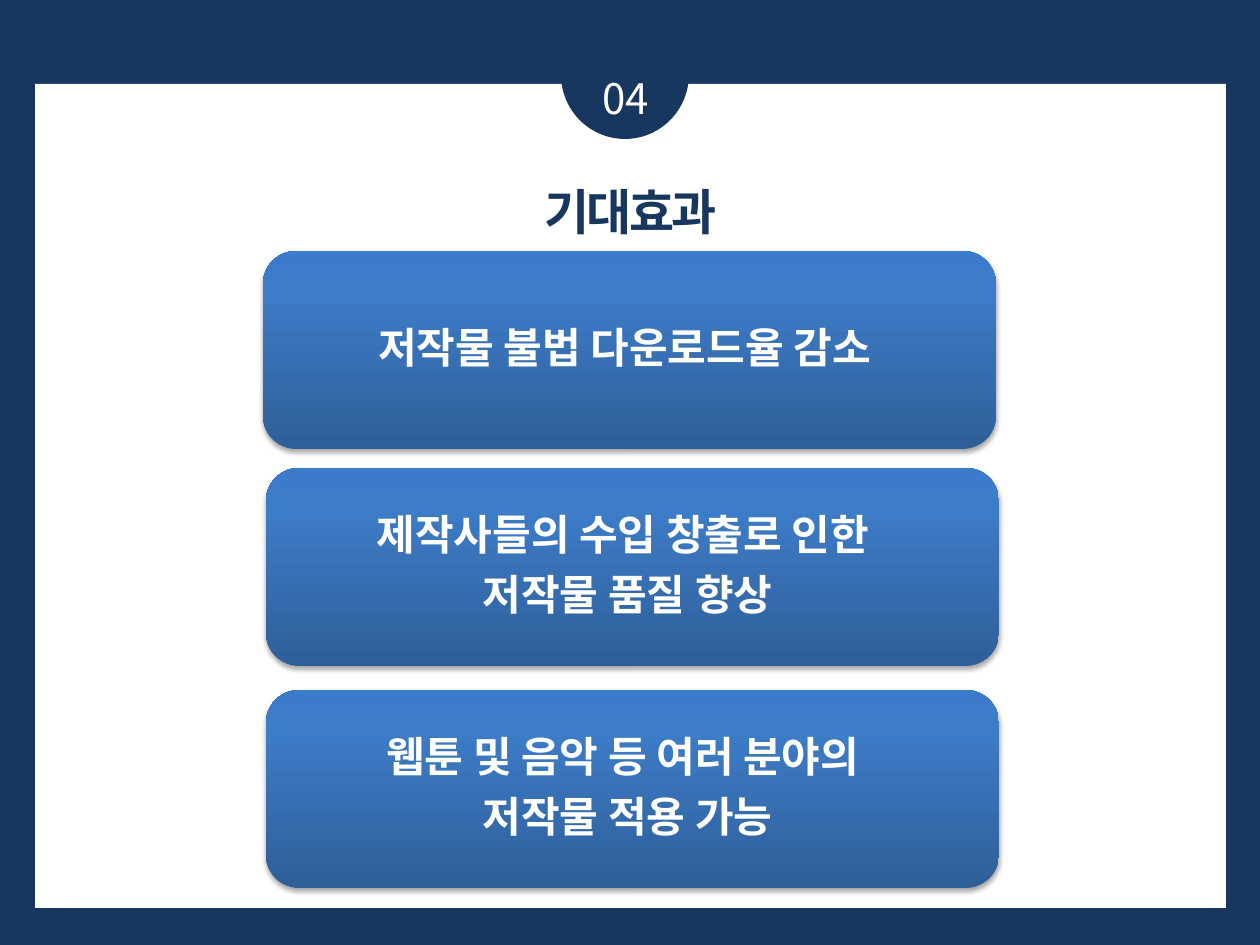
from lxml import etree
from pptx import Presentation
from pptx import util as u
from pptx.dml.color import RGBColor
from pptx.enum import shapes, text
from pptx.oxml import parse_xml
from pptx.oxml.ns import qn

PX = 914400 / 126
FONT = "Noto Sans CJK KR"
NAVY = RGBColor(0x17, 0x37, 0x5E)
WHITE = RGBColor(0xFF, 0xFF, 0xFF)
GRADIENT = [
    (0, RGBColor(0x2F, 0x5F, 0x99)),
    (80, RGBColor(0x3D, 0x7C, 0xC7)),
    (100, RGBColor(0x3A, 0x7C, 0xCB)),
]
NS = 'xmlns:a="http://schemas.openxmlformats.org/drawingml/2006/main"'
CARD_W, CARD_H = 733, 198
CARDS = [
    (263, 251, ["저작물 불법 다운로드율 감소"]),
    (266, 468, ["제작사들의 수입 창출로 인한 ", "저작물 품질 향상"]),
    (266, 690, ["웹툰 및 음악 등 여러 분야의 ", "저작물 적용 가능"]),
]


def px(*lengths):
    return [u.Emu(round(n * PX)) for n in lengths]


def style(p, size, color, bold=False):
    p.alignment = text.PP_ALIGN.CENTER
    f = p.font
    f.name, f.size, f.bold = FONT, u.Pt(size), bold
    f.color.rgb = color
    etree.SubElement(f._element, qn("a:ea")).set("typeface", FONT)


def add_plain(parent, kind, box, color):
    sp = parent.add_shape(kind, *px(*box))
    sp.shadow.inherit = False
    sp.fill.solid()
    sp.fill.fore_color.rgb = color
    sp.line.fill.background()
    return sp


def add_frame(slide):
    """White page with the numbered navy tab at its top edge."""
    add_plain(slide.shapes, shapes.MSO_SHAPE.RECTANGLE, (35, 84, 1191, 824), WHITE)
    add_plain(slide.shapes, shapes.MSO_SHAPE.OVAL, (561, 10, 128, 129), NAVY)
    number = slide.shapes.add_textbox(*px(551, 66, 149, 63))
    tf = number.text_frame
    tf.word_wrap = True
    tf.text = "04"
    style(tf.paragraphs[0], 24, WHITE)


def place_title(slide, box):
    title = slide.shapes.title
    title.left, title.top, title.width, title.height = px(*box)
    slide.shapes._spTree.append(title._element)  # in front of the page
    tf = title.text_frame
    tf.text = "기대효과"
    tf.word_wrap = True
    tf.auto_size = text.MSO_AUTO_SIZE.NONE
    tf.vertical_anchor = text.MSO_ANCHOR.TOP
    p = tf.paragraphs[0]
    style(p, 28, NAVY, bold=True)
    p.font._element.set("spc", "-150")


def add_gradient_and_shadow(sp):
    sp.fill.background()
    spPr = sp._element.spPr
    stops = "".join(
        f'<a:gs pos="{pos * 1000}"><a:srgbClr val="{color}"/></a:gs>'
        for pos, color in GRADIENT)
    gradient = parse_xml(
        f'<a:gradFill {NS} rotWithShape="1"><a:gsLst>{stops}</a:gsLst>'
        '<a:lin ang="16200000" scaled="0"/></a:gradFill>')
    spPr.replace(spPr.find(qn("a:noFill")), gradient)
    spPr.find(qn("a:effectLst")).append(parse_xml(
        f'<a:outerShdw {NS} blurRad="{u.Pt(3.1)}" dist="{u.Pt(1.8)}" dir="5400000" '
        'rotWithShape="0"><a:srgbClr val="000000"><a:alpha val="35000"/>'
        '</a:srgbClr></a:outerShdw>'))


def add_card(slide, x, y, lines):
    group = slide.shapes.add_group_shape().shapes
    card = add_plain(group, shapes.MSO_SHAPE.ROUNDED_RECTANGLE,
                     (x, y, CARD_W, CARD_H), NAVY)
    add_gradient_and_shadow(card)
    label = group.add_textbox(*px(x + 3, y + 9, CARD_W - 16, CARD_H - 19))
    tf = label.text_frame
    tf.word_wrap = True
    tf.vertical_anchor = text.MSO_ANCHOR.MIDDLE
    tf.margin_left = tf.margin_right = tf.margin_top = tf.margin_bottom = u.Inches(0.07)
    tf.text = "\n".join(lines)
    for p in tf.paragraphs:
        p.line_spacing = 0.9
        after = etree.SubElement(p._p.get_or_add_pPr(), qn("a:spcAft"))
        etree.SubElement(after, qn("a:spcPct")).set("val", "35000")
        style(p, 24, WHITE, bold=True)


def main():
    prs = Presentation()
    prs.slide_width, prs.slide_height = px(1260, 945)
    slide = prs.slides.add_slide(prs.slide_layouts[5])
    slide.background.fill.solid()
    slide.background.fill.fore_color.rgb = NAVY
    add_frame(slide)
    place_title(slide, (333, 175, 595, 72))
    for x, y, lines in CARDS:
        add_card(slide, x, y, lines)
    prs.save("out.pptx")


if __name__ == "__main__":
    main()
